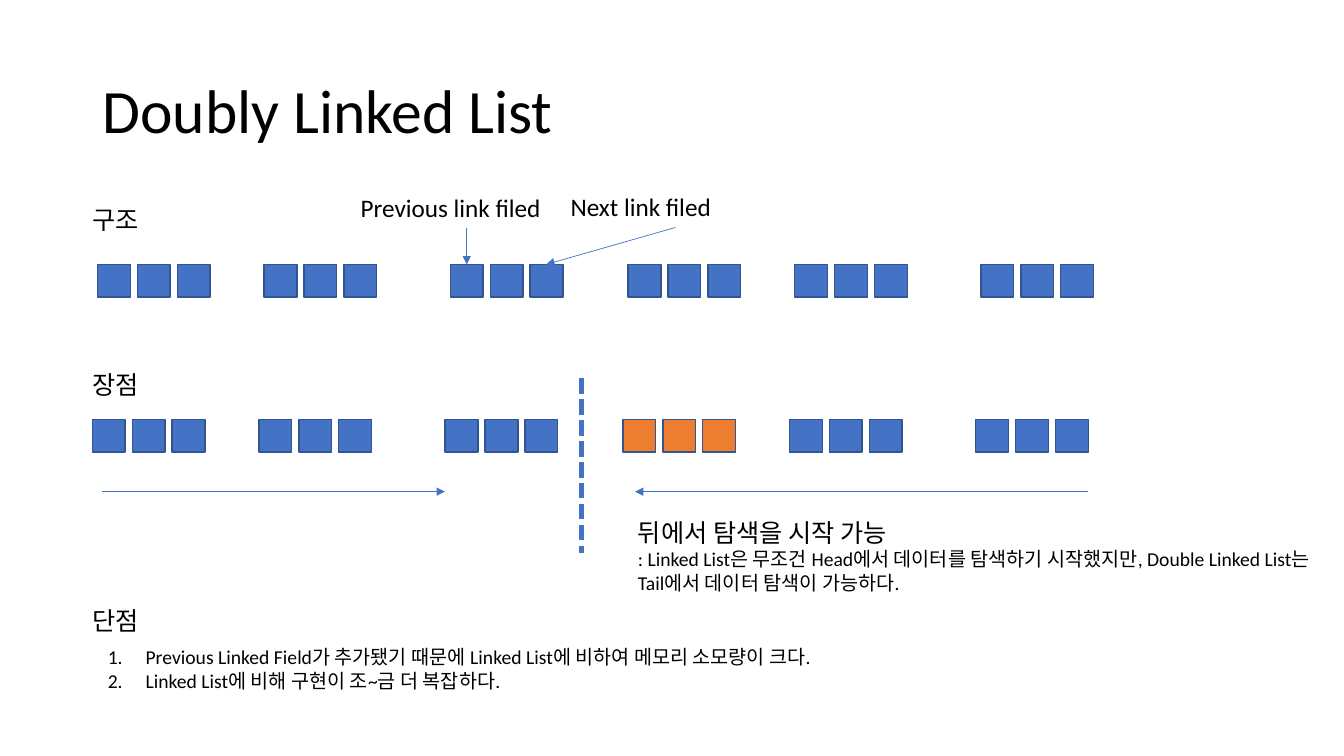
from lxml import etree
from pptx import Presentation
from pptx.dml.color import RGBColor
from pptx.enum.dml import MSO_LINE
from pptx.enum.shapes import MSO_CONNECTOR, MSO_SHAPE
from pptx.enum.text import MSO_ANCHOR, MSO_AUTO_SIZE, PP_ALIGN
from pptx.oxml.ns import qn
from pptx.util import Pt

RECTANGLE = MSO_SHAPE.RECTANGLE
STRAIGHT = MSO_CONNECTOR.STRAIGHT
DASH = MSO_LINE.SQUARE_DOT
LEFT = PP_ALIGN.LEFT
TOP, MIDDLE = MSO_ANCHOR.TOP, MSO_ANCHOR.MIDDLE
NO_AUTOFIT = MSO_AUTO_SIZE.NONE

BLUE, ORANGE, OUTLINE, BLACK = "4472C4", "ED7D31", "325491", "000000"


def color(value):
    return RGBColor.from_string(value)


def write_text(shape, box, lines, anchor=TOP, line_spacing=1.0):
    """Place a shape at box (points) and fill it with (text, size) lines."""
    for name, value in zip(("left", "top", "width", "height"), box):
        setattr(shape, name, Pt(value))
    frame = shape.text_frame
    frame_format = {
        "word_wrap": True, "auto_size": NO_AUTOFIT, "vertical_anchor": anchor,
        "margin_left": Pt(7.2), "margin_right": Pt(7.2),
        "margin_top": Pt(3.6), "margin_bottom": Pt(3.6),
    }
    for name, value in frame_format.items():
        setattr(frame, name, value)
    frame.text = "\n".join(text for text, size in lines)
    paragraph_format = {"alignment": LEFT, "line_spacing": line_spacing,
                        "space_before": Pt(0), "space_after": Pt(0)}
    for paragraph, (text, size) in zip(frame.paragraphs, lines):
        for name, value in paragraph_format.items():
            setattr(paragraph, name, value)
        font = paragraph.runs[0].font
        font.name, font.size = "Calibri", Pt(size)
        font.color.rgb = color(BLACK)


presentation = Presentation()
presentation.slide_width, presentation.slide_height = Pt(960), Pt(540)
slide = presentation.slides.add_slide(presentation.slide_layouts[1])
title, drawbacks = slide.placeholders

# Title
write_text(title, (66, 28.8, 828, 104.4), [("Doubly Linked List", 44)], MIDDLE, 0.9)

# Nodes: two rows, each of two halves with three nodes of three fields
FIELD_SIZE, FIELD_PITCH = 23.4, 28.5
NODE_OFFSETS = (0, 119, 252)
HALF_OFFSET = 379
node_rows = [
    (69.7, 188.9, BLUE),
    (66, 299.5, ORANGE),
]
for row_left, row_top, middle_color in node_rows:
    for half in range(2):
        group = slide.shapes.add_group_shape()
        for node, node_offset in enumerate(NODE_OFFSETS):
            fill_color = middle_color if (half, node) == (1, 0) else BLUE
            for field in range(3):
                left = row_left + half * HALF_OFFSET + node_offset + field * FIELD_PITCH
                square = group.shapes.add_shape(
                    RECTANGLE, Pt(left), Pt(row_top), Pt(FIELD_SIZE), Pt(FIELD_SIZE))
                square.shadow.inherit = False
                square.fill.solid()
                square.fill.fore_color.rgb = color(fill_color)
                square.line.color.rgb = color(OUTLINE)
                square.line.width = Pt(1)

# Headings, field labels and explanation
text_boxes = [
    ((59, 142.6, 158.4, 29), [("구조", 18)]),
    ((59, 260, 158.4, 29), [("장점", 18)]),
    ((59, 428.6, 158.4, 29), [("단점", 18)]),
    ((250.6, 134, 164, 29), [("Previous link filed", 18)]),
    ((400.5, 133.4, 164, 29), [("Next link filed", 18)]),
    ((448.6, 365.8, 506.2, 63.4), [
        ("뒤에서 탐색을 시작 가능", 18),
        (": Linked List은 무조건 Head에서 데이터를 탐색하기 시작했지만, "
         "Double Linked List는 Tail에서 데이터 탐색이 가능하다.", 14),
    ]),
]
for box, lines in text_boxes:
    write_text(slide.shapes.add_textbox(0, 0, 0, 0), box, lines)

# Numbered drawbacks
write_text(drawbacks, (69.8, 457.2, 599, 41), [
    ("Previous Linked Field가 추가됐기 때문에 Linked List에 비하여 메모리 소모량이 크다.", 14),
    ("Linked List에 비해 구현이 조~금 더 복잡하다.", 14),
])
for paragraph in drawbacks.text_frame.paragraphs:
    properties = paragraph._p.get_or_add_pPr()
    properties.set("marL", str(Pt(27)))
    properties.set("indent", str(Pt(-27)))
    etree.SubElement(properties, qn("a:buFont"), typeface="+mj-lt")
    etree.SubElement(properties, qn("a:buAutoNum"), type="arabicPeriod")

# Arrows and the dashed divider
connectors = [
    ((333.4, 162.9), (333.4, 188.9), 0.5, True),
    ((482.4, 162.5), (390.2, 188.9), 0.5, True),
    ((72.9, 351.2), (317.8, 351.2), 0.5, True),
    ((776.9, 351.2), (453.6, 351.2), 0.5, True),
    ((415.4, 270), (415.4, 395.3), 3.75, False),
]
for start, end, width, is_arrow in connectors:
    connector = slide.shapes.add_connector(
        STRAIGHT, *(Pt(value) for value in start + end))
    connector.line.color.rgb = color(BLUE)
    connector.line.width = Pt(width)
    if is_arrow:
        etree.SubElement(connector.line._get_or_add_ln(), qn("a:tailEnd"), type="triangle")
    else:
        connector.line.dash_style = DASH
    etree.SubElement(connector._element.spPr, qn("a:effectLst"))

presentation.save("out.pptx")
